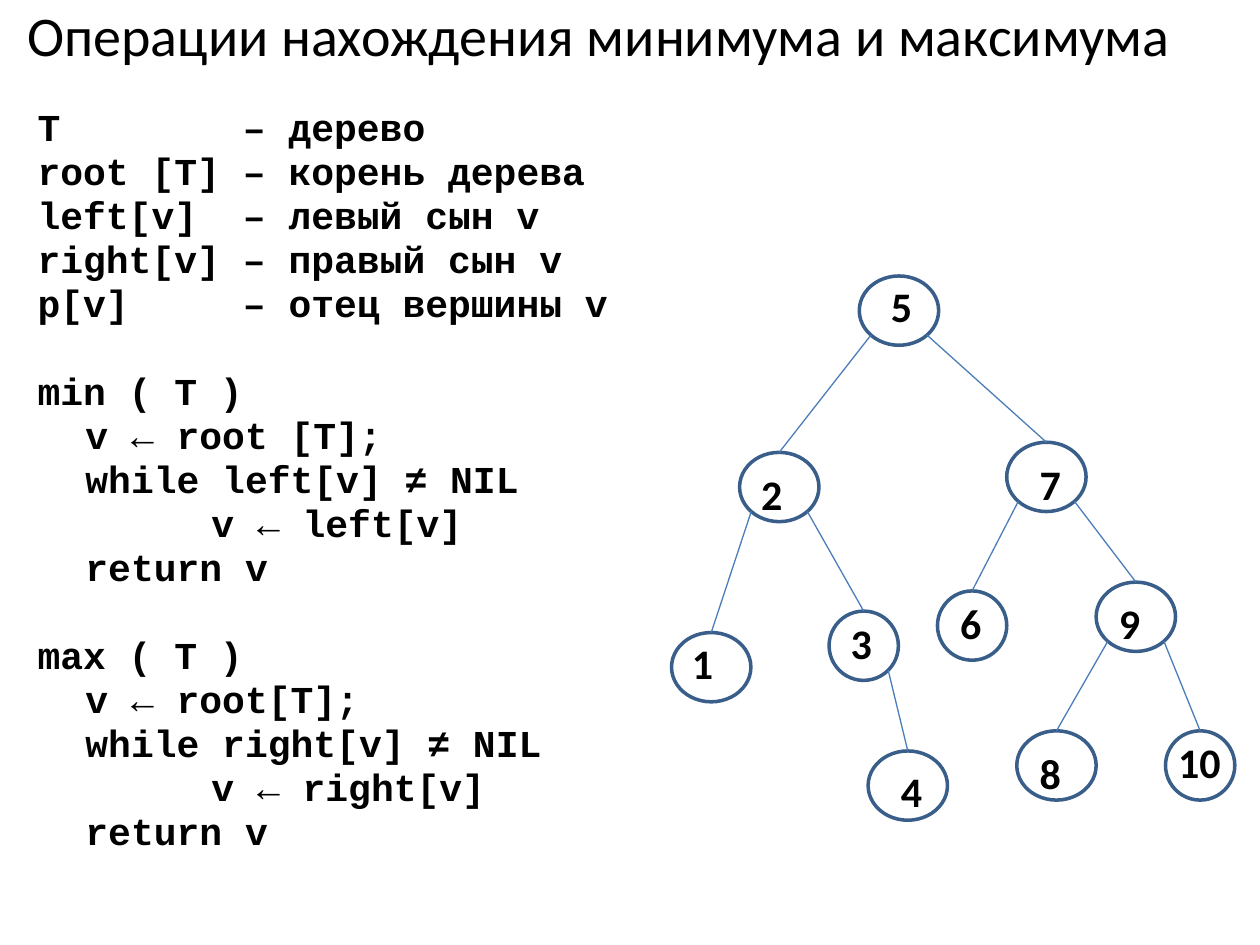
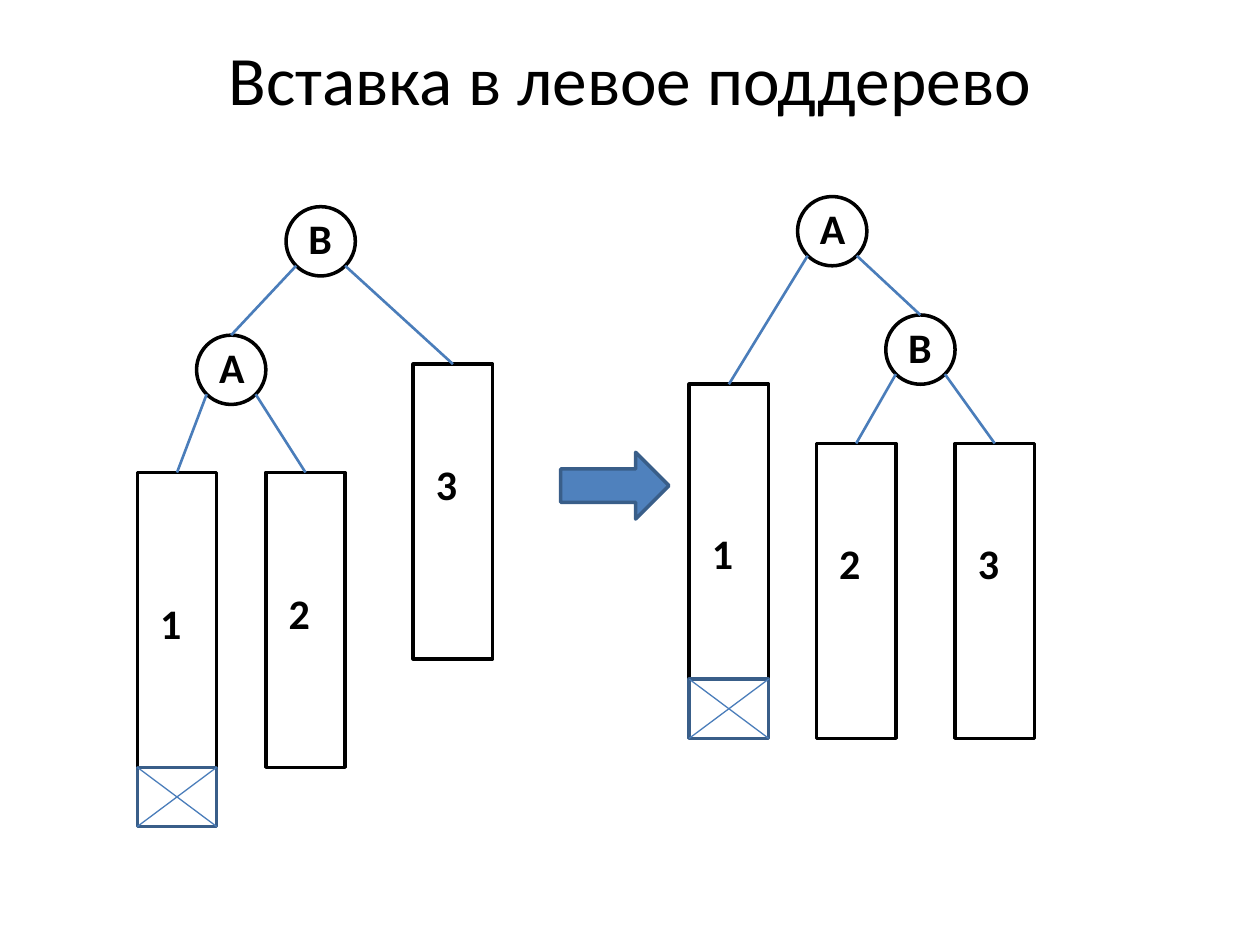
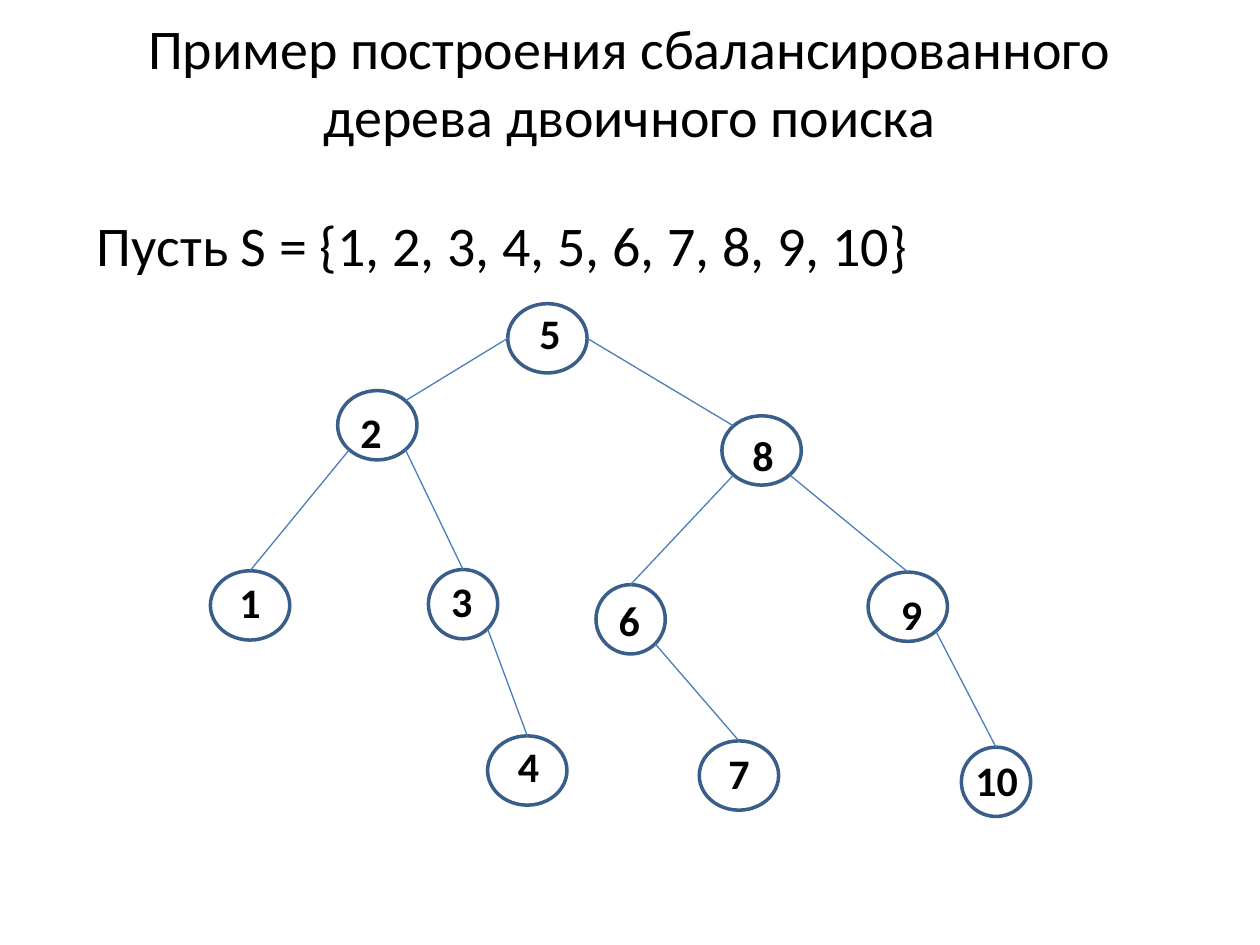
from math import sqrt

from lxml import etree
from pptx import Presentation
from pptx.dml.color import RGBColor
from pptx.enum.shapes import MSO_CONNECTOR, MSO_SHAPE
from pptx.enum.text import MSO_ANCHOR, PP_ALIGN
from pptx.oxml.ns import qn
from pptx.util import Inches, Pt

LEFT, CENTER = PP_ALIGN.LEFT, PP_ALIGN.CENTER
TOP, MIDDLE = MSO_ANCHOR.TOP, MSO_ANCHOR.MIDDLE
ELLIPSE, RECTANGLE, RIGHT_ARROW = MSO_SHAPE.OVAL, MSO_SHAPE.RECTANGLE, MSO_SHAPE.RIGHT_ARROW
STRAIGHT = MSO_CONNECTOR.STRAIGHT

BLACK = RGBColor(0x00, 0x00, 0x00)
OUTLINE_BLUE = RGBColor(0x39, 0x5E, 0x89)
EDGE_BLUE = RGBColor(0x4A, 0x7D, 0xBA)
ARROW_BLUE = RGBColor(0x4F, 0x81, 0xBD)

NODE_HEIGHT = 0.55
BAR_WIDTH, BAR_HEIGHT = 0.63, 2.34
NEW_BLOCK_HEIGHT = 0.47
LABEL_HEIGHT, LABEL_INDENT = 0.5, 0.08

TITLE = {"name": "Calibri", "size": Pt(32)}
BIG_TITLE = {"name": "Calibri", "size": Pt(39.6)}
LABEL = {"name": "Calibri", "size": Pt(24), "bold": True}
CODE = {"name": "Courier New", "size": Pt(21.7), "bold": True}

# Code layout: indent per nesting level, gaps between lines and between blocks
CODE_INDENTS = (0, 0.38, 1.38)
CODE_TAB = 1.63
LINE_GAP, BLOCK_GAP = Pt(4.3), Pt(29.5)

DEFINITIONS = [
    (0, "T\t– дерево"),
    (0, "root [T]\t– корень дерева"),
    (0, "left[v]\t– левый сын v"),
    (0, "right[v]\t– правый сын v"),
    (0, "p[v]\t– отец вершины v"),
]
MINIMUM = [
    (0, "min ( T )"),
    (1, "v ← root [T];"),
    (1, "while left[v] ≠ NIL"),
    (2, "v ← left[v]"),
    (1, "return v"),
]
MAXIMUM = [
    (0, "max ( T )"),
    (1, "v ← root[T];"),
    (1, "while right[v] ≠ NIL"),
    (2, "v ← right[v]"),
    (1, "return v"),
]

# Search trees: name -> left, top, width, label left, label top
SEARCH_TREE = {
    "5": (6.82, 2.19, 0.63, 6.97, 2.18),
    "2": (5.87, 3.59, 0.63, 5.94, 3.67),
    "7": (7.99, 3.51, 0.63, 8.15, 3.59),
    "1": (5.33, 5.02, 0.63, 5.39, 5.01),
    "3": (6.58, 4.85, 0.55, 6.65, 4.85),
    "6": (7.44, 4.69, 0.55, 7.52, 4.69),
    "9": (8.7, 4.62, 0.63, 8.78, 4.69),
    "4": (6.89, 5.96, 0.63, 7.05, 6.03),
    "8": (8.07, 5.8, 0.63, 8.15, 5.88),
    "10": (9.25, 5.8, 0.55, 9.25, 5.8),
}
SEARCH_EDGES = [("5", "2"), ("5", "7"), ("2", "1"), ("2", "3"), ("7", "6"),
                ("7", "9"), ("3", "4"), ("9", "8"), ("9", "10")]

BALANCED_TREE = {
    "5": (4.03, 2.41, 0.63, 4.18, 2.39),
    "2": (2.68, 3.1, 0.63, 2.76, 3.18),
    "8": (5.73, 3.3, 0.63, 5.87, 3.36),
    "1": (1.67, 4.53, 0.63, 1.8, 4.53),
    "3": (3.4, 4.52, 0.55, 3.48, 4.52),
    "6": (4.73, 4.64, 0.55, 4.81, 4.67),
    "9": (6.89, 4.54, 0.63, 7.05, 4.62),
    "4": (3.87, 5.84, 0.63, 4.01, 5.83),
    "7": (5.55, 5.88, 0.63, 5.68, 5.88),
    "10": (7.63, 5.93, 0.55, 7.64, 5.94),
}
BALANCED_EDGES = [("2", "1"), ("2", "3"), ("8", "6"), ("8", "9"),
                  ("3", "4"), ("6", "7"), ("9", "10")]

# Rotation: circles as left, top; subtrees as left, top, label offset
BEFORE_CIRCLES = {"B": (2.27, 1.64), "A": (1.56, 2.66)}
BEFORE_BARS = {"1": (1.09, 3.75, 0.94), "2": (2.11, 3.75, 0.86), "3": (3.28, 2.89, 0.7)}
BEFORE_EDGES = [("A", "1"), ("A", "2"), ("B", "A"), ("B", "3")]
AFTER_CIRCLES = {"A": (6.33, 1.56), "B": (7.03, 2.5)}
AFTER_BARS = {"1": (5.47, 3.05, 1.09), "2": (6.48, 3.52, 0.7), "3": (7.58, 3.52, 0.7)}
AFTER_EDGES = [("A", "1"), ("B", "2"), ("A", "B"), ("B", "3")]


def rim_point(shape, across, down):
    """Point on an ellipse in the direction (across, down)."""
    length = sqrt(across ** 2 + down ** 2)
    return (int(shape.left + shape.width / 2 * (1 + across / length)),
            int(shape.top + shape.height / 2 * (1 + down / length)))


class Deck:
    def __init__(self):
        self.presentation = Presentation()
        self.presentation.slide_width = Inches(10)
        self.presentation.slide_height = Inches(7.5)
        self.slide = None

    def new_slide(self):
        self.slide = self.presentation.slides.add_slide(self.presentation.slide_layouts[6])

    def format_text(self, paragraph, values):
        for name, value in values.items():
            setattr(paragraph.font, name, value)
        paragraph.font.color.rgb = BLACK

    def text(self, words, box, values, align=LEFT, anchor=TOP, wrap=True):
        shape = self.slide.shapes.add_textbox(*map(Inches, box))
        frame = shape.text_frame
        frame.word_wrap = wrap
        frame.vertical_anchor = anchor
        paragraph = frame.paragraphs[0]
        paragraph.text = words
        paragraph.alignment = align
        self.format_text(paragraph, values)

    def title(self, words, box, values=TITLE):
        self.text(words, box, values, CENTER, MIDDLE)

    def label(self, words, left, top):
        width = 0.54 if len(words) > 1 else 0.37
        self.text(words, (left, top, width, LABEL_HEIGHT), LABEL, CENTER, wrap=False)

    def code(self, blocks, box):
        frame = self.slide.shapes.add_textbox(*map(Inches, box)).text_frame
        frame.word_wrap = True
        paragraph = None
        for block in blocks:
            for index, (level, words) in enumerate(block):
                if paragraph is None:
                    paragraph = frame.paragraphs[0]
                else:
                    paragraph = frame.add_paragraph()
                    paragraph.space_before = LINE_GAP if index else BLOCK_GAP
                paragraph.text = words
                paragraph.line_spacing = 0.8
                properties = paragraph._p.get_or_add_pPr()
                properties.set("marL", str(Inches(CODE_INDENTS[level])))
                if "\t" in words:
                    tabs = etree.SubElement(properties, qn("a:tabLst"))
                    etree.SubElement(tabs, qn("a:tab"), pos=str(Inches(CODE_TAB)), algn="l")
                self.format_text(paragraph, CODE)

    def shape(self, kind, box, color, fill=None):
        shape = self.slide.shapes.add_shape(kind, *map(Inches, box))
        shape.shadow.inherit = False
        if fill is None:
            shape.fill.background()
        else:
            shape.fill.solid()
            shape.fill.fore_color.rgb = fill
        shape.line.color.rgb = color
        shape.line.width = Pt(2)
        return shape

    def line(self, start, end, weight):
        connector = self.slide.shapes.add_connector(STRAIGHT, *start, *end)
        connector.line.color.rgb = EDGE_BLUE
        connector.line.width = Pt(weight)
        etree.SubElement(connector._element.spPr, qn("a:effectLst"))
        return connector

    def edge(self, parent, child, weight):
        """Join the lower rim of the parent to the top of the child."""
        top = (int(child.left + child.width / 2), child.top)
        side = -1 if top[0] < parent.left + parent.width / 2 else 1
        self.line(rim_point(parent, side, 1), top, weight).end_connect(child, 0)

    def search_tree(self, nodes, edges):
        shapes = {}
        for name, (left, top, width, label_left, label_top) in nodes.items():
            shapes[name] = self.shape(ELLIPSE, (left, top, width, NODE_HEIGHT), OUTLINE_BLUE)
            self.label(name, label_left, label_top)
        for parent, child in edges:
            self.edge(shapes[parent], shapes[child], 0.75)
        return shapes

    def new_block(self, left, top):
        """Crossed box that marks the inserted vertex."""
        block = self.shape(RECTANGLE, (left, top, BAR_WIDTH, NEW_BLOCK_HEIGHT), OUTLINE_BLUE)
        right, bottom = block.left + block.width, block.top + block.height
        self.line((block.left, block.top), (right, bottom), 0.75)
        self.line((right, block.top), (block.left, bottom), 0.75)

    def rotation_tree(self, circles, bars, edges):
        shapes = {}
        for name, (left, top) in circles.items():
            shapes[name] = self.shape(ELLIPSE, (left, top, NODE_HEIGHT, NODE_HEIGHT), BLACK)
            self.label(name, left + LABEL_INDENT, top)
        for name, (left, top, label_offset) in bars.items():
            shapes[name] = self.shape(RECTANGLE, (left, top, BAR_WIDTH, BAR_HEIGHT), BLACK)
            self.label(name, left + LABEL_INDENT, top + label_offset)
        left, top, _ = bars["1"]
        self.new_block(left, top + BAR_HEIGHT)
        for parent, child in edges:
            self.edge(shapes[parent], shapes[child], 1.5)


def main():
    deck = Deck()

    # Slide 1: minimum and maximum
    deck.new_slide()
    deck.title("Операции нахождения минимума и максимума", (0, 0, 9.51, 0.54))
    deck.code([DEFINITIONS, MINIMUM, MAXIMUM], (0.2, 0.84, 5.04, 6.66))
    deck.search_tree(SEARCH_TREE, SEARCH_EDGES)

    # Slide 2: rotation after an insertion
    deck.new_slide()
    deck.title("Вставка в левое поддерево", (0.5, 0.3, 9, 0.64), BIG_TITLE)
    deck.rotation_tree(BEFORE_CIRCLES, BEFORE_BARS, BEFORE_EDGES)
    deck.rotation_tree(AFTER_CIRCLES, AFTER_BARS, AFTER_EDGES)
    deck.shape(RIGHT_ARROW, (4.45, 3.59, 0.86, 0.53), OUTLINE_BLUE, ARROW_BLUE)

    # Slide 3: balanced tree, whose root is joined from its sides
    deck.new_slide()
    deck.title("Пример построения сбалансированного дерева двоичного поиска",
               (0.5, 0.21, 9, 0.87))
    deck.text("Пусть S = {1, 2, 3, 4, 5, 6, 7, 8, 9, 10}", (0.67, 1.62, 9, 0.75), TITLE)
    shapes = deck.search_tree(BALANCED_TREE, BALANCED_EDGES)
    for child, side in (("2", -1), ("8", 1)):
        deck.line(rim_point(shapes["5"], side, 0), rim_point(shapes[child], -side, -1), 0.75)

    deck.presentation.save("out.pptx")


if __name__ == "__main__":
    main()
